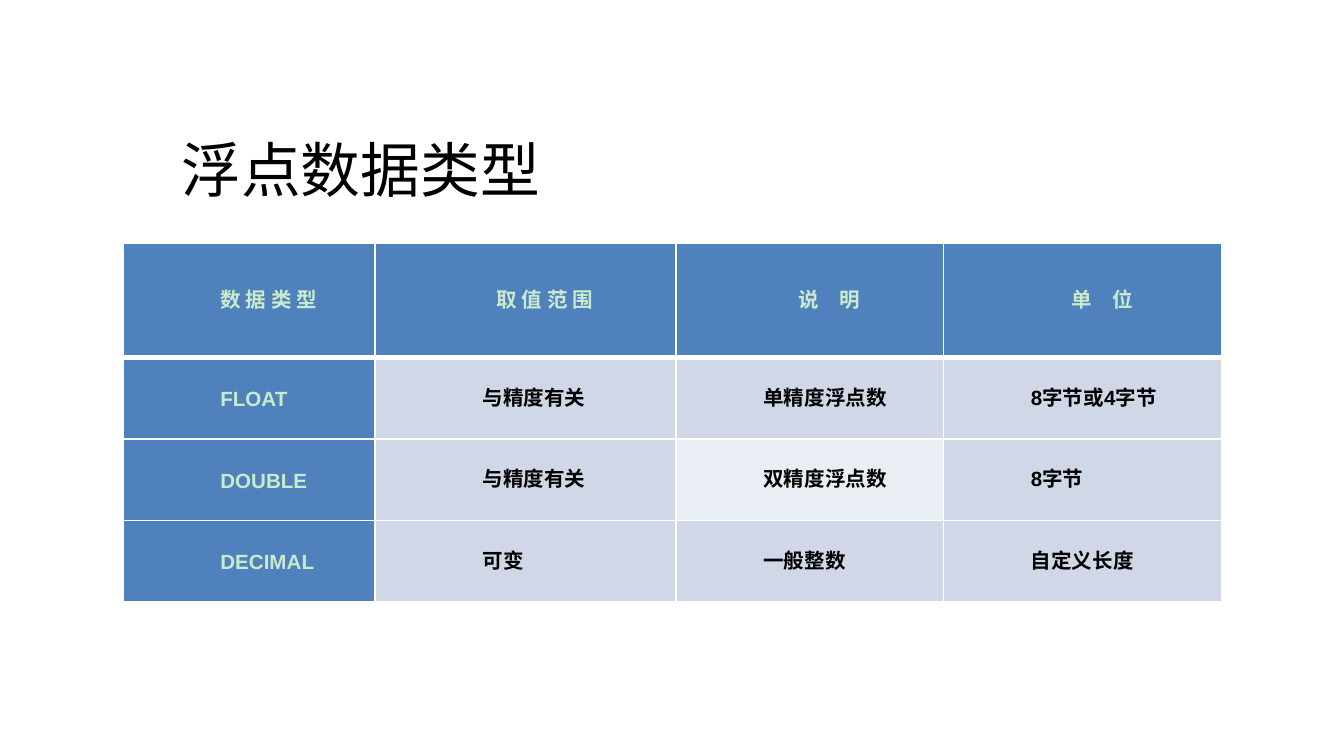
from dataclasses import dataclass

from lxml import etree
from pptx import Presentation
from pptx.dml.color import RGBColor
from pptx.enum.text import MSO_ANCHOR, MSO_AUTO_SIZE, PP_ALIGN
from pptx.oxml.ns import qn
from pptx.util import Inches, Pt

MIDDLE, BOTTOM = MSO_ANCHOR.MIDDLE, MSO_ANCHOR.BOTTOM
NO_AUTOFIT = MSO_AUTO_SIZE.NONE
LEFT, CENTER, JUSTIFY = PP_ALIGN.LEFT, PP_ALIGN.CENTER, PP_ALIGN.JUSTIFY
TITLE_ONLY = 5
SLIDE_WIDTH = 10
SLIDE_HEIGHT = SLIDE_WIDTH * 9 / 16


@dataclass(frozen=True)
class Theme:
    """Colours, fonts and sizes of the slide."""
    background: str = "FFFFFF"
    grid: str = "FFFFFF"
    ink: str = "000000"
    header_text: str = "CAEACE"
    header_fill: str = "4F81BD"
    body_fill: str = "D0D8E8"
    light_fill: str = "E9EDF4"
    title_font: str = "Calibri"
    table_font: str = "Arial"
    title_size: int = 32
    table_size: int = 11
    line_spacing: int = 14
    grid_width: int = 1
    header_rule: int = 3


THEME = Theme()
TITLE = "浮点数据类型"
ROWS = [
    ["数 据 类 型", "取 值 范 围", "说　明", "单　位"],
    ["FLOAT", "与精度有关", "单精度浮点数", "8字节或4字节"],
    ["DOUBLE", "与精度有关", "双精度浮点数", "8字节"],
    ["DECIMAL", "可变", "一般整数", "自定义长度"],
]
COLUMN_WIDTHS = [1.87, 2.24, 1.99, 2.07]
COLUMN_MARGINS = [0.36, 0.44, 0.29, 0.29]
HEADER_HEIGHT = 0.85
FIRST_LINE_INDENT = 0.29
LIGHT_CELL = (2, 2)


def set_font(paragraph, name, size, color, bold):
    """Format the whole paragraph."""
    font = paragraph.font
    font.name, font.size, font.bold = name, Pt(size), bold
    font.color.rgb = RGBColor.from_string(color)


def set_borders(cell, top, bottom):
    """Draw the four cell borders in the grid colour."""
    properties = cell._tc.get_or_add_tcPr()
    widths = {"a:lnL": THEME.grid_width, "a:lnR": THEME.grid_width,
              "a:lnT": top, "a:lnB": bottom}
    for tag, width in widths.items():
        line = etree.SubElement(properties, qn(tag), w=str(Pt(width)))
        fill = etree.SubElement(line, qn("a:solidFill"))
        etree.SubElement(fill, qn("a:srgbClr"), val=THEME.grid)


def format_cell(cell, text, row, column):
    """Fill one cell according to its place in the table."""
    is_header = row == 0
    is_label = is_header or column == 0
    set_borders(cell,
                THEME.header_rule if row == 1 else THEME.grid_width,
                THEME.header_rule if is_header else THEME.grid_width)
    if is_label:
        fill = THEME.header_fill
    else:
        fill = THEME.light_fill if (row, column) == LIGHT_CELL else THEME.body_fill
    cell.fill.solid()
    cell.fill.fore_color.rgb = RGBColor.from_string(fill)
    cell.vertical_anchor = MIDDLE
    cell.margin_left = cell.margin_right = Inches(0.07)
    cell.margin_top = cell.margin_bottom = 0

    cell.text = text
    paragraph = cell.text_frame.paragraphs[0]
    paragraph.alignment = CENTER if is_header else JUSTIFY
    paragraph.line_spacing = Pt(THEME.line_spacing)
    set_font(paragraph, THEME.table_font, THEME.table_size,
             THEME.header_text if is_label else THEME.ink, True)
    margin = 0 if is_header else COLUMN_MARGINS[column]
    indents = paragraph._p.get_or_add_pPr()
    indents.set("marL", str(Inches(margin)))
    indents.set("indent", str(Inches(FIRST_LINE_INDENT)))


def add_title(slide, left, top, width, height):
    """Place the slide title in the given box."""
    title = slide.shapes.title
    title.left, title.top = Inches(left), Inches(top)
    title.width, title.height = Inches(width), Inches(height)
    frame = title.text_frame
    frame.text = TITLE
    frame.auto_size = NO_AUTOFIT
    frame.vertical_anchor = BOTTOM
    paragraph = frame.paragraphs[0]
    paragraph.alignment = LEFT
    set_font(paragraph, THEME.title_font, THEME.title_size, THEME.ink, False)


def add_type_table(slide, left, top, width, height):
    """Place the table of floating-point types in the given box."""
    table = slide.shapes.add_table(
        len(ROWS), len(COLUMN_WIDTHS),
        Inches(left), Inches(top), Inches(width), Inches(height)).table
    table.first_row = table.horz_banding = False
    for column, share in zip(table.columns, COLUMN_WIDTHS):
        column.width = Inches(width * share / sum(COLUMN_WIDTHS))
    body_height = (height - HEADER_HEIGHT) / (len(ROWS) - 1)
    for row, texts in enumerate(ROWS):
        table.rows[row].height = Inches(body_height if row else HEADER_HEIGHT)
        for column, text in enumerate(texts):
            format_cell(table.cell(row, column), text, row, column)


def main():
    """Build and save the presentation."""
    presentation = Presentation()
    presentation.slide_width = Inches(SLIDE_WIDTH)
    presentation.slide_height = Inches(SLIDE_HEIGHT)
    slide = presentation.slides.add_slide(presentation.slide_layouts[TITLE_ONLY])
    background = slide.background.fill
    background.solid()
    background.fore_color.rgb = RGBColor.from_string(THEME.background)
    add_title(slide, 1.25, 0.9, 6.08, 0.67)
    add_type_table(slide, 0.92, 1.81, 8.17, 2.67)
    presentation.save("out.pptx")


if __name__ == "__main__":
    main()
